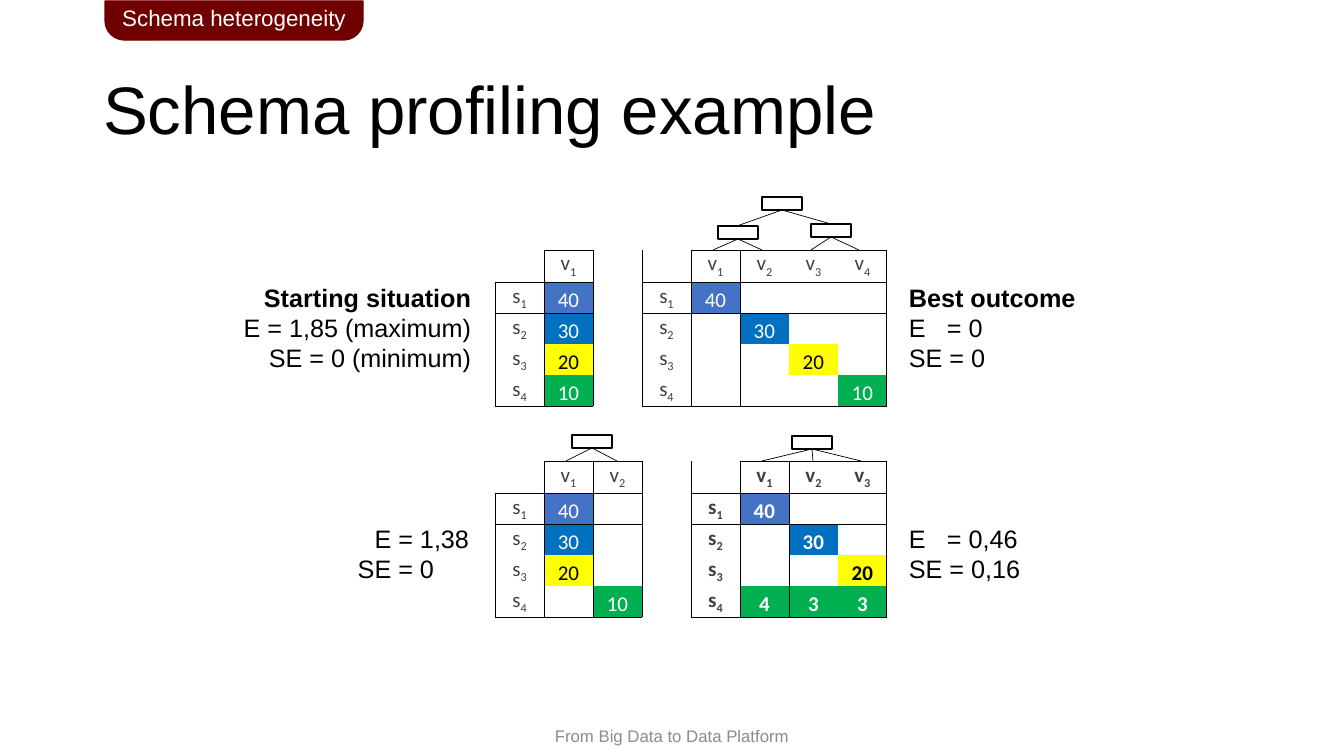
from lxml.etree import SubElement
from pptx import Presentation
from pptx.dml.color import RGBColor
from pptx.enum.shapes import MSO_CONNECTOR, MSO_SHAPE
from pptx.enum.text import MSO_ANCHOR, PP_ALIGN
from pptx.oxml import parse_xml
from pptx.oxml.ns import nsdecls, qn
from pptx.util import Pt

PX = 9071  # EMU in one px
NO_TABLE_STYLE = "{2D5ABB26-0587-4C30-8999-92F81FD0307C}"


def rgb(code):
    return RGBColor.from_string(code)


def write(frame, text, size=18, ink="000000", face="Arial", bold_lines=0,
          align=PP_ALIGN.LEFT, anchor=MSO_ANCHOR.TOP, subscript=""):
    frame.word_wrap = True
    frame.vertical_anchor = anchor
    for number, line in enumerate(text.split("\n")):
        paragraph = frame.add_paragraph() if number else frame.paragraphs[0]
        paragraph.alignment = align
        for part in filter(None, (line, subscript)):
            run = paragraph.add_run()
            run.text = part
            run.font.size = Pt(size)
            run.font.name = face
            run.font.bold = number < bold_lines
            run.font.color.rgb = rgb(ink)
        if subscript:
            run.font._element.set("baseline", "-25000")


deck = Presentation()
deck.slide_width, deck.slide_height = 1344 * PX, 756 * PX
slide = deck.slides.add_slide(deck.slide_layouts[5])
shapes = slide.shapes

# Title and footer
title = shapes.title
title.left, title.top, title.width, title.height = 93 * PX, 40 * PX, 1159 * PX, 146 * PX
write(title.text_frame, "Schema profiling example", size=48, anchor=MSO_ANCHOR.MIDDLE)
title.text_frame.paragraphs[0].line_spacing = 0.9
footer = shapes.add_textbox(483 * PX, 716 * PX, 378 * PX, 40 * PX)
write(footer.text_frame, "From Big Data to Data Platform", size=12, ink="8C8C8C",
      align=PP_ALIGN.CENTER, anchor=MSO_ANCHOR.MIDDLE)

# Section tab
section = shapes.add_shape(MSO_SHAPE.ROUND_2_SAME_RECTANGLE, 105 * PX, 1 * PX, 258 * PX, 39 * PX)
section.adjustments[0], section.adjustments[1] = 0, 0.5
section.shadow.inherit = False
section.fill.solid()
section.fill.fore_color.rgb = section.line.color.rgb = rgb("700000")
section.line.width = Pt(1)
write(section.text_frame, "Schema heterogeneity", size=16, ink="FFFFFF",
      align=PP_ALIGN.CENTER, anchor=MSO_ANCHOR.MIDDLE)

# Matrices: first column, bold, values of s1 to s4 under v1, v2, ...
matrix_rows = [
    (250, [
        (0, False, [["40"], ["30"], ["20"], ["10"]]),
        (3, False, [["40", "", "", ""], ["", "30", "", ""],
                    ["", "", "20", ""], ["", "", "", "10"]]),
    ]),
    (461, [
        (0, False, [["40", ""], ["30", ""], ["20", ""], ["", "10"]]),
        (4, True, [["40", "", ""], ["", "30", ""], ["", "", "20"], ["4", "3", "3"]]),
    ]),
]
schema_colours = [("4472C4", "FFFFFF"), ("0070C0", "FFFFFF"),
                  ("FFFF00", "000000"), ("00B050", "FFFFFF")]
neighbours = {"lnL": (0, -1), "lnR": (0, 1), "lnT": (-1, 0), "lnB": (1, 0)}

for top, matrices in matrix_rows:
    table = shapes.add_table(5, 8, 495 * PX, top * PX, 392 * PX, 156 * PX).table
    table.first_row = table.horz_banding = False
    table._tbl.tblPr.find(qn("a:tableStyleId")).text = NO_TABLE_STYLE
    for column in table.columns:
        column.width = 49 * PX
    for index, row in enumerate(table.rows):
        row.height = (31 if index else 32) * PX

    # Labels, values and the block each cell belongs to
    block_of = {}
    for first, bold, values in matrices:
        look = dict(size=15, face="Calibri", bold_lines=int(bold), align=PP_ALIGN.CENTER)
        for v in range(1, len(values[0]) + 1):
            block_of[0, first + v] = ("header", first)
            write(table.cell(0, first + v).text_frame, "v", ink="404040", subscript=str(v), **look)
        for s, schema_values in enumerate(values, 1):
            block_of[s, first] = ("schemas", first)
            label = table.cell(s, first)
            write(label.text_frame, "s", ink="404040", subscript=str(s), **look)
            label.vertical_anchor = MSO_ANCHOR.MIDDLE
            fill, ink = schema_colours[s - 1]
            for v, value in enumerate(schema_values, 1):
                block_of[s, first + v] = ("values", first)
                if value:
                    cell = table.cell(s, first + v)
                    write(cell.text_frame, value, ink=ink, **look)
                    cell.vertical_anchor = MSO_ANCHOR.BOTTOM
                    cell.fill.solid()
                    cell.fill.fore_color.rgb = rgb(fill)

    # Margins, and a border wherever two blocks meet
    for r in range(5):
        for c in range(8):
            cell = table.cell(r, c)
            cell.margin_left = cell.margin_right = cell.margin_top = PX
            cell.margin_bottom = 0
            if not cell.text_frame.text:
                SubElement(cell.text_frame.paragraphs[0]._p, qn("a:endParaRPr"), sz="1500")
                if cell._tc.tcPr.find(qn("a:solidFill")) is None:
                    cell.fill.background()
            position = 0
            for side, (down, right) in neighbours.items():
                if block_of.get((r, c)) != block_of.get((r + down, c + right)):
                    cell._tc.tcPr.insert(position, parse_xml(
                        f'<a:{side} {nsdecls("a")} w="6350"><a:solidFill>'
                        f'<a:srgbClr val="000000"/></a:solidFill></a:{side}>'))
                    position += 1

# Results beside the matrices
results = [
    (231, 277, 250, 102, "Starting situation\nE = 1,85 (maximum)\nSE = 0 (minimum)", 1, PP_ALIGN.RIGHT),
    (346, 518, 133, 72, "E = 1,38\nSE = 0", 0, PP_ALIGN.RIGHT),
    (899, 518, 133, 72, "E\t= 0,46\nSE = 0,16", 0, PP_ALIGN.LEFT),
    (899, 277, 188, 102, "Best outcome\nE\t= 0\nSE = 0", 1, PP_ALIGN.LEFT),
]
for left, top, width, height, text, bold_lines, align in results:
    result = shapes.add_textbox(left * PX, top * PX, width * PX, height * PX)
    write(result.text_frame, text, bold_lines=bold_lines, align=align)
    for paragraph in result.text_frame.paragraphs:
        properties = paragraph._p.get_or_add_pPr()
        if "\t" in paragraph.text:
            stops = SubElement(properties, qn("a:tabLst"))
            SubElement(stops, qn("a:tab"), pos=str(38 * PX), algn="l")
        elif paragraph.text == "SE = 0" and align == PP_ALIGN.RIGHT:
            properties.set("marR", str(35 * PX))

# Decision trees: node corner, then the ends of its branches
tree_nodes = [
    (718, 226, [(762, 250), (713, 250)]),
    (811, 224, [(859, 250), (811, 250)]),
    (762, 197, [(831, 224), (737, 226)]),
    (572, 435, [(617, 461), (566, 461)]),
    (792, 436, [(861, 461), (762, 461), (813, 461)]),
]
for left, top, branches in tree_nodes:
    node = shapes.add_shape(MSO_SHAPE.RECTANGLE, left * PX, top * PX, 40 * PX, 13 * PX)
    node.shadow.inherit = False
    node.fill.background()
    node.line.color.rgb = rgb("000000")
    node.line.width = Pt(1)
    for end_x, end_y in branches:
        branch = shapes.add_connector(MSO_CONNECTOR.STRAIGHT, (left + 20) * PX, (top + 13) * PX,
                                      end_x * PX, end_y * PX)
        branch.line.color.rgb = rgb("000000")
        branch.line.width = Pt(0.5)
        SubElement(branch._element.spPr, qn("a:effectLst"))

deck.save("out.pptx")
